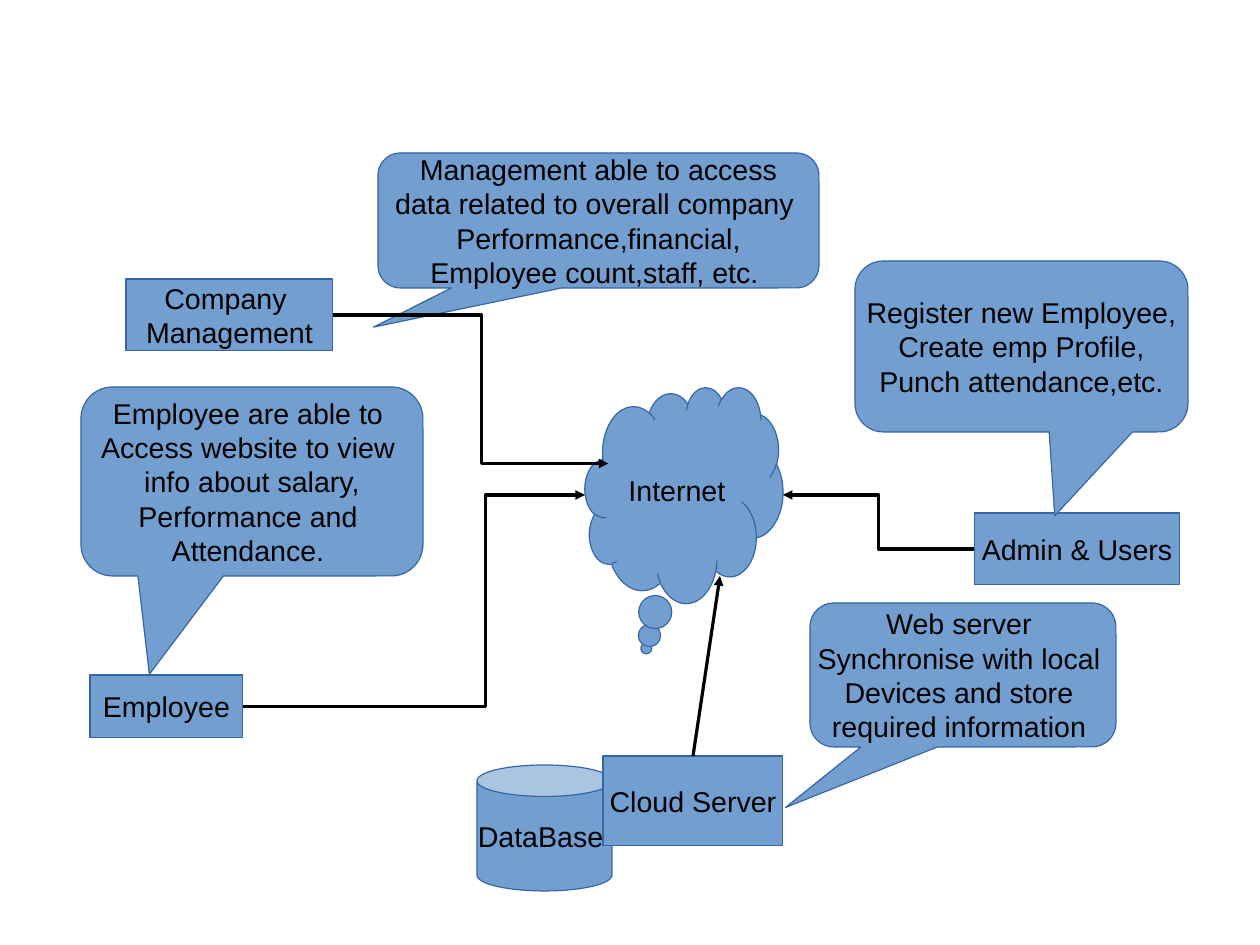
from lxml.etree import SubElement
from pptx import Presentation
from pptx.dml.color import RGBColor
from pptx.enum.shapes import MSO_CONNECTOR as LINK, MSO_SHAPE as SHAPE
from pptx.enum.text import MSO_ANCHOR, PP_ALIGN
from pptx.oxml.ns import qn
from pptx.util import Cm, Pt

FONT, TEXT_SIZE = "Arial", Pt(18)
FILL, OUTLINE, INK = "729FCF", "3465A4", "000000"

# Lines of text, then left, top, width and height in cm
INTERNET = (["Internet"], (13, 8.6, 4.4, 4.8))
DATABASE = (["DataBase "], (10.6, 17, 3, 2.8))
COMPANY = (["Company ", "Management"], (2.8, 6.2, 4.6, 1.6))
EMPLOYEE = (["Employee"], (2, 15, 3.4, 1.4))
ADMIN = (["Admin & Users"], (21.65, 11.4, 4.57, 1.6))
SERVER = (["Cloud Server"], (13.4, 16.8, 4, 2))

# Callouts also give the tip, as a share of the size from the centre
CALLOUTS = [
    (["Management able to access", "data related to overall company ",
      "Performance,financial,", "Employee count,staff, etc. "],
     (8.4, 3.4, 9.8, 3), (-0.51, 0.79)),
    (["Employee are able to ", "Access website to view ", "info about salary,",
      "Performance and ", "Attendance. "],
     (1.8, 8.6, 7.6, 4.2), (-0.3, 1.02)),
    (["Register new Employee,", "Create emp Profile,", "Punch attendance,etc."],
     (19, 5.8, 7.4, 3.8), (0.1, 0.99)),
    (["Web server ", "Synchronise with local ", "Devices and store ",
      "required information "],
     (18, 13.4, 6.8, 3.2), (-0.58, 0.92)),
]

# Source box, its side (0 left, 1 right), end point in cm, place of the bend
BENT_ARROWS = [
    (COMPANY, 1, (13.52, 10.3), 0.54),
    (EMPLOYEE, 1, (13, 11), 0.71),
    (ADMIN, 0, (17.4, 11), 0.5),
]
SERVER_ARROW_END = (16, 12.8)


def color(value):
    return RGBColor.from_string(value)


def add_node(slide, kind, lines, box, tip=()):
    node = slide.shapes.add_shape(kind, *map(Cm, box))
    node.shadow.inherit = False
    for index, share in enumerate(tip):
        node.adjustments[index] = share
    node.fill.solid()
    node.fill.fore_color.rgb = color(FILL)
    node.line.color.rgb = color(OUTLINE)
    node.line.width = Pt(0)
    frame = node.text_frame
    frame.margin_left = frame.margin_right = 0
    frame.margin_top = frame.margin_bottom = 0
    frame.vertical_anchor = MSO_ANCHOR.MIDDLE
    frame.word_wrap = False
    frame.text = "\n".join(lines)
    for paragraph in frame.paragraphs:
        paragraph.alignment = PP_ALIGN.CENTER
        for run in paragraph.runs:
            run.font.name, run.font.size = FONT, TEXT_SIZE
            run.font.color.rgb = color(INK)
    return node


def add_arrow(slide, kind, start, end):
    arrow = slide.shapes.add_connector(kind, *map(Cm, start + end))
    arrow.line.color.rgb = color(INK)
    arrow.line.width = Pt(0)
    properties = arrow._element.spPr
    SubElement(properties.find(qn("a:ln")), qn("a:tailEnd"), type="triangle")
    SubElement(properties, qn("a:effectLst"))
    return arrow


def set_bend(arrow, share):
    guides = arrow._element.spPr.find(qn("a:prstGeom")).find(qn("a:avLst"))
    SubElement(guides, qn("a:gd"), name="adj1", fmla=f"val {round(share * 100000)}")


def main():
    deck = Presentation()
    deck.slide_width, deck.slide_height = Cm(28), Cm(21)
    slide = deck.slides.add_slide(deck.slide_layouts[6])

    # Internet, database and the boxes around them
    add_node(slide, SHAPE.CLOUD_CALLOUT, *INTERNET, (-0.19, 0.71))
    add_node(slide, SHAPE.CAN, *DATABASE)
    for person in (COMPANY, EMPLOYEE, ADMIN):
        add_node(slide, SHAPE.RECTANGLE, *person)
    server = add_node(slide, SHAPE.RECTANGLE, *SERVER)

    # Explanations
    for callout in CALLOUTS:
        add_node(slide, SHAPE.ROUNDED_RECTANGULAR_CALLOUT, *callout)

    # Arrows to the internet
    for (_, (left, top, width, height)), side, end, bend in BENT_ARROWS:
        start = (left + side * width, top + height / 2)
        set_bend(add_arrow(slide, LINK.ELBOW, start, end), bend)
    left, top, width, _ = SERVER[1]
    server_arrow = add_arrow(slide, LINK.STRAIGHT, (left + width / 2, top), SERVER_ARROW_END)
    server_arrow.begin_connect(server, 0)

    deck.save("out.pptx")


if __name__ == "__main__":
    main()
